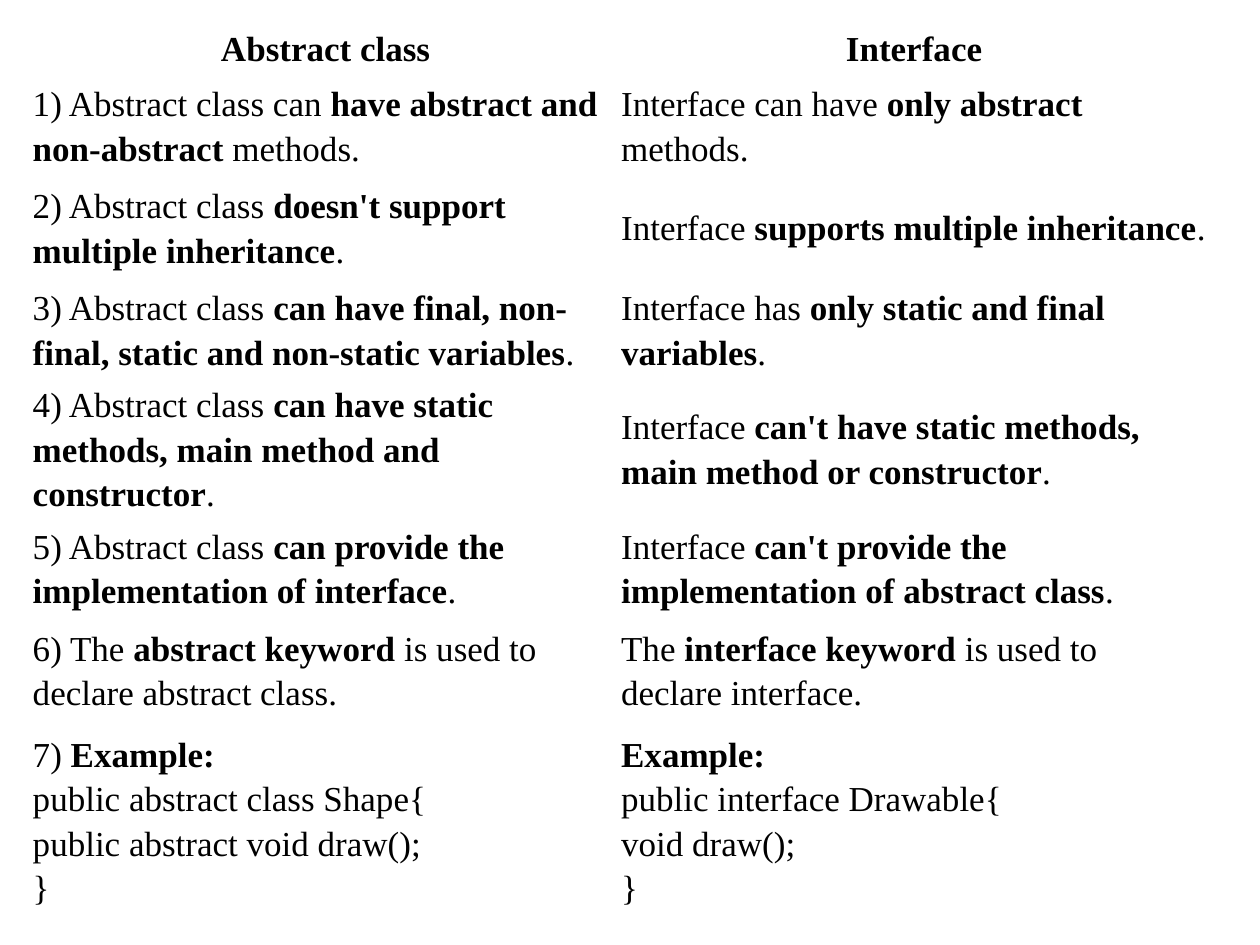
from pptx import Presentation
from pptx.dml.color import RGBColor
from pptx.enum.text import MSO_ANCHOR, PP_ALIGN
from pptx.util import Inches, Pt

# Text between ** marks is bold; \n is a line break within the paragraph.
COMPARISON = [
    ("**Abstract class**", "**Interface**"),
    ("1) Abstract class can **have abstract and non-abstract** methods.",
     "Interface can have **only abstract** methods."),
    ("2) Abstract class **doesn't support multiple inheritance**.",
     "Interface **supports multiple inheritance**."),
    ("3) Abstract class **can have final, non-final, static and non-static variables**.",
     "Interface has **only static and final variables**."),
    ("4) Abstract class **can have static methods, main method and constructor**.",
     "Interface **can't have static methods, main method or constructor**."),
    ("5) Abstract class **can provide the implementation of interface**.",
     "Interface **can't provide the implementation of abstract class**."),
    ("6) The **abstract keyword** is used to declare abstract class.",
     "The **interface keyword** is used to declare interface."),
    ("7) **Example:**\npublic abstract class Shape{\npublic abstract void draw();\n}",
     "**Example:**\npublic interface Drawable{\nvoid draw();\n}"),
]
HEADER_HEIGHT, POINT_HEIGHT, EXAMPLE_HEIGHT = 0.42, 0.81, 1.58
COLUMN_WIDTH = 4.67
CELL_MARGIN = Inches(0.01)


def write_marked(paragraph, marked):
    """Fill the paragraph, turning ** marks into bold and \\n into line breaks."""
    for part, phrase in enumerate(marked.split("**")):
        for line_number, line in enumerate(phrase.split("\n")):
            if line_number:
                paragraph.add_line_break()
            if not line:
                continue
            run = paragraph.add_run()
            run.text = line
            run.font.name = "Times New Roman"
            run.font.size = Pt(20)
            run.font.bold = part % 2 == 1
            run.font.color.rgb = RGBColor.from_string("000000")


prs = Presentation()
prs.slide_width, prs.slide_height = Inches(10), Inches(7.5)
slide = prs.slides.add_slide(prs.slide_layouts[6])

point_count = len(COMPARISON) - 2
heights = [HEADER_HEIGHT] + [POINT_HEIGHT] * point_count + [EXAMPLE_HEIGHT]
table = slide.shapes.add_table(
    len(COMPARISON), 2, Inches(0.25), Inches(0.16),
    Inches(2 * COLUMN_WIDTH), Inches(sum(heights))).table
table.first_row = table.horz_banding = False
for column in table.columns:
    column.width = Inches(COLUMN_WIDTH)

for row_number, (row, height, sides) in enumerate(zip(table.rows, heights, COMPARISON)):
    row.height = Inches(height)
    for cell, marked in zip(row.cells, sides):
        cell.fill.background()
        cell.vertical_anchor = MSO_ANCHOR.MIDDLE
        cell.margin_left = cell.margin_right = CELL_MARGIN
        cell.margin_top = cell.margin_bottom = CELL_MARGIN
        paragraph = cell.text_frame.paragraphs[0]
        paragraph.line_spacing = 1.15
        paragraph.alignment = PP_ALIGN.LEFT if row_number else PP_ALIGN.CENTER
        write_marked(paragraph, marked)

prs.save("out.pptx")
